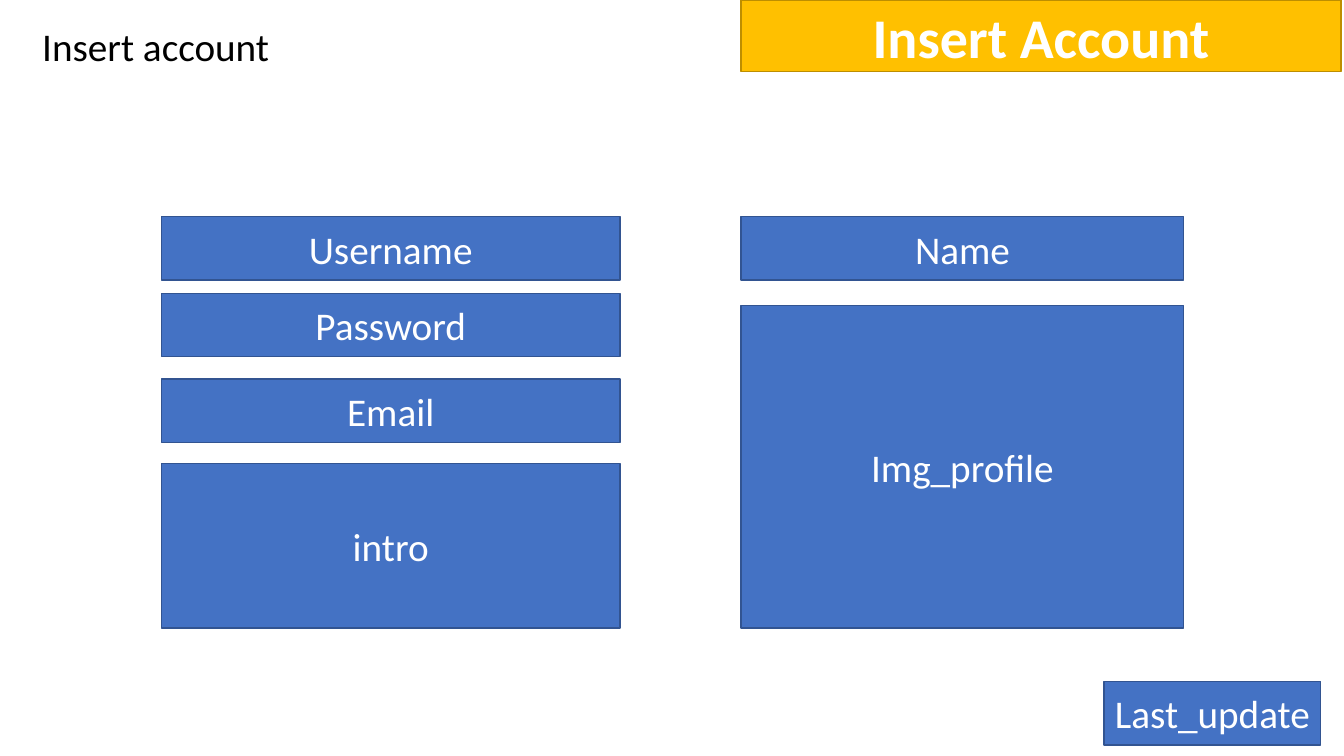
from pptx import Presentation
from pptx.dml.color import RGBColor
from pptx.enum.shapes import MSO_SHAPE as Shape
from pptx.enum.text import MSO_ANCHOR as Anchor, MSO_AUTO_SIZE as AutoSize, PP_ALIGN as Align
from pptx.util import Inches, Pt

COLORS = {
    "banner": "FFC000", "banner_edge": "BD8E00",
    "field": "4472C4", "field_edge": "325491",
    "light": "FFFFFF", "dark": "000000",
}
FONT = "Calibri"
FIELD_HEIGHT = 0.63


def color(name):
    return RGBColor.from_string(COLORS[name])


def write(shape, text, size, ink, align=Align.CENTER, anchor=Anchor.MIDDLE, bold=False):
    frame = shape.text_frame
    frame.text = text
    frame.word_wrap = True
    frame.auto_size = AutoSize.NONE
    frame.vertical_anchor = anchor
    frame.margin_left = frame.margin_right = Inches(0.1)
    frame.margin_top = frame.margin_bottom = Inches(0.05)
    paragraph = frame.paragraphs[0]
    paragraph.alignment = align
    paragraph.line_spacing = 1.0
    paragraph.space_before = Pt(0)
    font = paragraph.font
    font.name, font.size, font.bold = FONT, Pt(size), bold
    font.color.rgb = color(ink)


def paint(shape, fill):
    shape.fill.solid()
    shape.fill.fore_color.rgb = color(fill)
    shape.line.color.rgb = color(fill + "_edge")
    shape.line.width = Pt(1)


def add_heading(slide, left, top, width, height):
    heading = slide.shapes.add_textbox(*map(Inches, (left, top, width, height)))
    write(heading, "Insert account", 28, "dark", Align.LEFT, Anchor.TOP)
    heading.text_frame.auto_size = AutoSize.SHAPE_TO_FIT_TEXT


def add_banner(slide, left, top, width, height):
    banner = slide.shapes.title
    banner.left, banner.top = Inches(left), Inches(top)
    banner.width, banner.height = Inches(width), Inches(height)
    paint(banner, "banner")
    write(banner, "Insert Account", 40, "light", bold=True)


def add_fields(slide, left, top, width, fields):
    """Stack fields in a column; each is (label, offset from top, height)."""
    for label, offset, height in fields:
        field = slide.shapes.add_shape(
            Shape.RECTANGLE, *map(Inches, (left, top + offset, width, height)))
        field.shadow.inherit = False
        paint(field, "field")
        write(field, label, 28, "light")


prs = Presentation()
prs.slide_width, prs.slide_height = Inches(13.33), Inches(7.5)
slide = prs.slides.add_slide(prs.slide_layouts[5])

# Heading and title banner
add_heading(slide, 0.32, 0.17, 3.36, 0.57)
add_banner(slide, 7.35, 0, 5.95, 0.71)

# Account details
add_fields(slide, 1.6, 2.15, 4.55, [
    ("Username", 0, FIELD_HEIGHT),
    ("Password", 0.76, FIELD_HEIGHT),
    ("Email", 1.61, FIELD_HEIGHT),
    ("intro", 2.45, 1.63),
])

# Profile
add_fields(slide, 7.35, 2.15, 4.39, [
    ("Name", 0, FIELD_HEIGHT),
    ("Img_profile", 0.88, 3.2),
])

# Update stamp
add_fields(slide, 10.95, 6.76, 2.15, [("Last_update", 0, FIELD_HEIGHT)])

prs.save("out.pptx")
